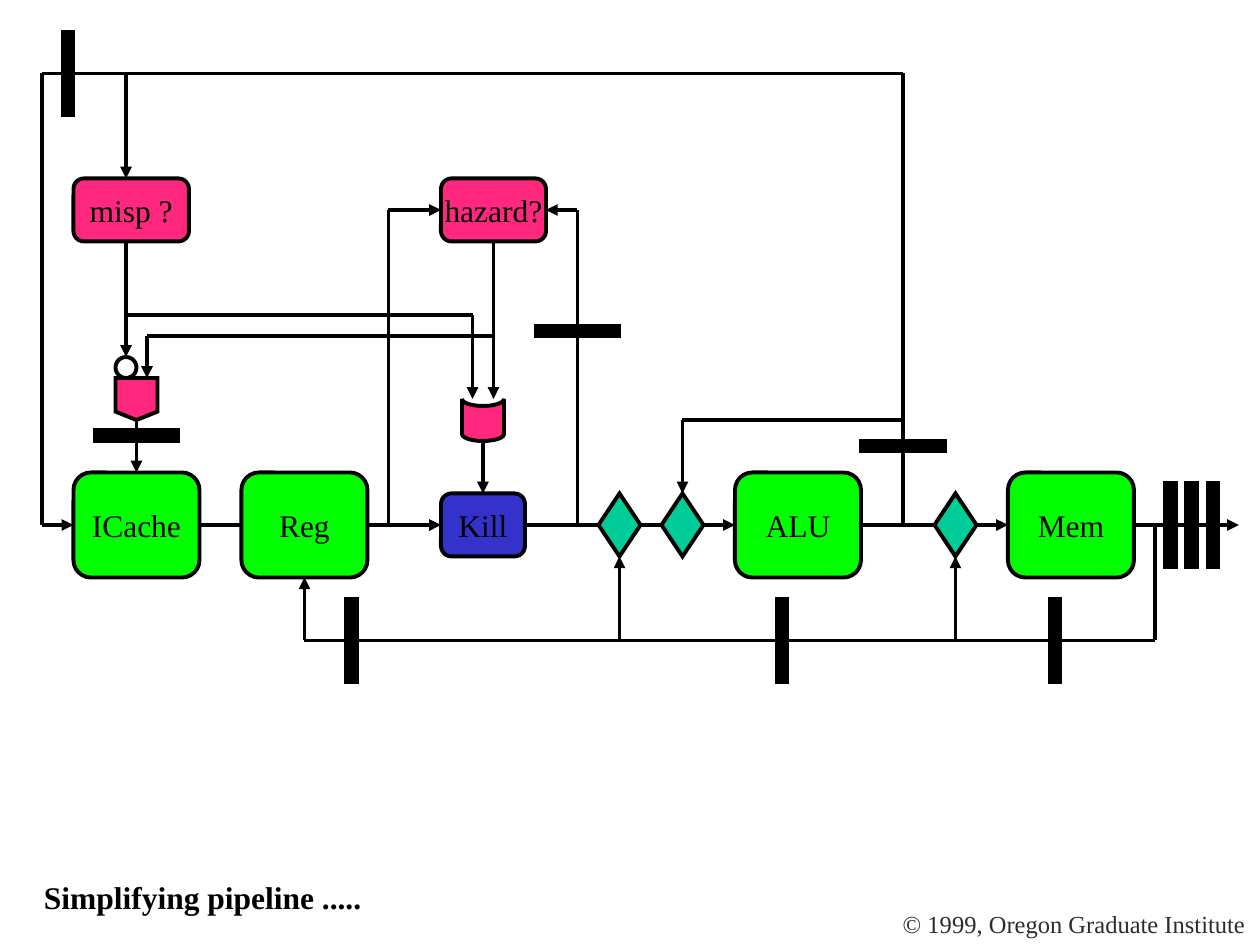
from lxml.etree import SubElement
from pptx import Presentation
from pptx.dml.color import RGBColor
from pptx.enum.shapes import MSO_CONNECTOR, MSO_SHAPE as Preset
from pptx.enum.text import MSO_ANCHOR as Anchor, MSO_AUTO_SIZE as AutoSize, PP_ALIGN as Align
from pptx.oxml.ns import qn
from pptx.util import Pt

PX = 7620  # EMU in one px, 120 px to the inch
FONT = "Times New Roman"
BLACK, WHITE, GREEN, BLUE = "000000", "FFFFFF", "01FF01", "3333CC"
PINK, TEAL, GREY = "FF277E", "00CC99", "2C2C2C"
LINE_WIDTH = 2.25

# Text, left, top, width, height, format
CAPTIONS = [
    ("© 1999, Oregon Graduate Institute", 848, 860, 350, 41,
     {"size": 14, "color": GREY}),
    ("Simplifying pipeline .....", 30, 830, 326, 48,
     {"size": 18, "color": BLACK, "bold": True}),
]
CAPTION_FRAME = {"word_wrap": True, "auto_size": AutoSize.NONE, "margin_right": 0}
STAGE_FRAME = {"word_wrap": False, "vertical_anchor": Anchor.MIDDLE}

# Label, left, top, width, height, fill
STAGES = [
    ("ICache", 70, 450, 120, 100, GREEN),
    ("Reg", 230, 450, 120, 100, GREEN),
    ("ALU", 700, 450, 120, 100, GREEN),
    ("Mem", 960, 450, 120, 100, GREEN),
    ("Kill", 420, 470, 80, 60, BLUE),
    ("hazard?", 420, 170, 100, 60, PINK),
    ("misp ?", 70, 170, 110, 60, PINK),
]

MUX_LEFTS, MUX_TOP, MUX_SIZE = (570, 630, 890), 470, (40, 60)

# Preset, left, top, size, fill, rotation
GATES = [
    (Preset.FLOWCHART_OFFPAGE_CONNECTOR, 110, 360, 40, PINK, 0),
    (Preset.OVAL, 110, 340, 20, WHITE, 0),
    (Preset.FLOWCHART_STORED_DATA, 440, 380, 40, PINK, 270),
]

# Centres of the pipeline registers
REGISTER_LONG, REGISTER_SHORT = 80, 10
UPRIGHT_REGISTERS = [(65, 70), (335, 610), (745, 610), (1005, 610),
                     (1115, 500), (1135, 500), (1155, 500)]
FLAT_REGISTERS = [(130, 415), (550, 315), (860, 425)]

# Start and end points
ARROWS = [
    ((190, 500), (420, 500)), ((500, 500), (700, 500)),
    ((820, 500), (960, 500)), ((1080, 500), (1180, 500)),
    ((40, 500), (70, 500)), ((130, 402), (130, 450)),
    ((460, 421), (460, 470)), ((370, 200), (420, 200)),
    ((550, 200), (520, 200)), ((470, 230), (470, 380)),
    ((140, 320), (140, 360)), ((450, 300), (450, 380)),
    ((590, 610), (590, 530)), ((910, 610), (910, 530)),
    ((290, 610), (290, 550)), ((650, 400), (650, 470)),
    ((120, 230), (120, 340)), ((120, 70), (120, 170)),
]
WIRES = [
    ((370, 500), (370, 200)), ((140, 320), (470, 320)),
    ((450, 300), (120, 300)), ((550, 200), (550, 500)),
    ((40, 70), (860, 70)), ((860, 70), (860, 500)),
    ((40, 70), (40, 500)), ((290, 610), (1100, 610)),
    ((1100, 610), (1100, 500)), ((650, 400), (860, 400)),
]


def emu(*lengths):
    return [length * PX for length in lengths]


def rgb(value):
    return RGBColor.from_string(value)


def set_outline(line):
    """Give a line its colour and width, with sharp corners."""
    line.color.rgb = rgb(BLACK)
    line.width = Pt(LINE_WIDTH)
    SubElement(line._get_or_add_ln(), qn("a:miter"), lim="800000")


def write(shape, text, frame_format, size, color, bold=False, align=Align.LEFT):
    frame = shape.text_frame
    for name, value in frame_format.items():
        setattr(frame, name, value)
    paragraph = frame.paragraphs[0]
    paragraph.alignment = align
    run = paragraph.add_run()
    run.text = text
    for name, value in {"name": FONT, "size": Pt(size), "bold": bold}.items():
        setattr(run.font, name, value)
    run.font.color.rgb = rgb(color)


def add_block(slide, preset, left, top, width, height, fill, rotation=0):
    shape = slide.shapes.add_shape(preset, *emu(left, top, width, height))
    shape.shadow.inherit = False
    shape.rotation = rotation
    shape.fill.solid()
    shape.fill.fore_color.rgb = rgb(fill)
    set_outline(shape.line)
    return shape


def add_line(slide, start, end, arrow):
    connector = slide.shapes.add_connector(MSO_CONNECTOR.STRAIGHT, *emu(*start, *end))
    set_outline(connector.line)
    if arrow:
        SubElement(connector.line._get_or_add_ln(), qn("a:tailEnd"), type="triangle")
    SubElement(connector._element.spPr, qn("a:effectLst"))
    return connector


def side_middles(shape):
    """Middles of the sides in connection order: top, left, bottom, right."""
    left, top, width, height = shape.left, shape.top, shape.width, shape.height
    centre, middle = left + width // 2, top + height // 2
    return [(centre, top), (left, middle), (centre, top + height), (left + width, middle)]


def join_lines(connectors, shapes):
    """Join each connector end that lies at the middle of a shape's side."""
    sites = {point: (shape, index) for shape in shapes
             for index, point in enumerate(side_middles(shape))}
    for connector in connectors:
        start = connector.begin_x, connector.begin_y
        end = connector.end_x, connector.end_y
        if start in sites:
            connector.begin_connect(*sites[start])
        if end in sites:
            connector.end_connect(*sites[end])


def main():
    presentation = Presentation()
    presentation.slide_width, presentation.slide_height = emu(1200, 900)
    slide = presentation.slides.add_slide(presentation.slide_layouts[6])

    for text, left, top, width, height, text_format in CAPTIONS:
        box = slide.shapes.add_textbox(*emu(left, top, width, height))
        write(box, text, CAPTION_FRAME, **text_format)

    connectors = [add_line(slide, *ends, arrow)
                  for lines, arrow in ((WIRES, False), (ARROWS, True))
                  for ends in lines]

    blocks = []
    for label, *place, fill in STAGES:
        stage = add_block(slide, Preset.ROUNDED_RECTANGLE, *place, fill)
        write(stage, label, STAGE_FRAME, 18, BLACK, align=Align.CENTER)
        blocks.append(stage)
    for left in MUX_LEFTS:
        blocks.append(add_block(slide, Preset.DIAMOND, left, MUX_TOP, *MUX_SIZE, TEAL))
    join_lines(connectors, blocks)

    for preset, left, top, size, fill, rotation in GATES:
        add_block(slide, preset, left, top, size, size, fill, rotation)

    for centres, width, height in (
            (UPRIGHT_REGISTERS, REGISTER_SHORT, REGISTER_LONG),
            (FLAT_REGISTERS, REGISTER_LONG, REGISTER_SHORT)):
        for x, y in centres:
            add_block(slide, Preset.RECTANGLE, x - width // 2, y - height // 2,
                      width, height, BLACK)

    presentation.save("out.pptx")


if __name__ == "__main__":
    main()
